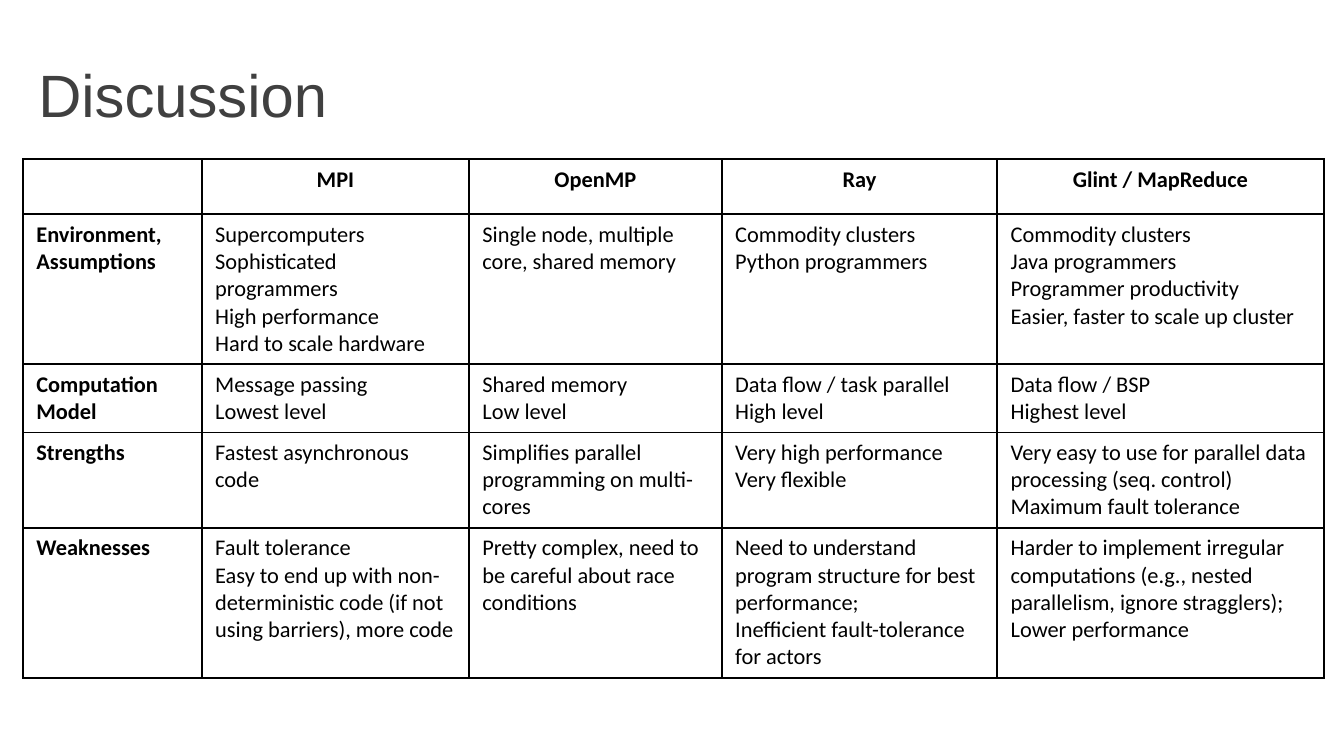
from dataclasses import dataclass

from lxml import etree
from pptx import Presentation
from pptx.dml.color import RGBColor
from pptx.enum.text import MSO_ANCHOR, PP_ALIGN
from pptx.oxml.ns import qn
from pptx.util import Pt

LEFT, CENTER = PP_ALIGN.LEFT, PP_ALIGN.CENTER
TOP, MIDDLE = MSO_ANCHOR.TOP, MSO_ANCHOR.MIDDLE
TITLE_ONLY = 5

COLORS = {"title": "404040", "text": "000000", "border": "000000"}
TITLE_FONT = {"name": "Arial", "size": Pt(32), "bold": False}
HEADING_FONT = {"name": "Calibri", "size": Pt(12), "bold": True}
BODY_FONT = {**HEADING_FONT, "bold": False}

COLUMN_WIDTHS = [95.8, 143.2, 135.4, 147.6, 175]
ROW_HEIGHT = 29.5
SYSTEMS = ["", "MPI", "OpenMP", "Ray", "Glint / MapReduce"]


@dataclass
class Aspect:
    """One table row: a heading and a list of points for each system."""
    heading: str
    points: list[str]


ASPECTS = [
    Aspect("Environment,\nAssumptions", [
        "Supercomputers\nSophisticated programmers\nHigh performance\nHard to scale hardware",
        "Single node, multiple core, shared memory",
        "Commodity clusters\nPython programmers",
        "Commodity clusters\nJava programmers\nProgrammer productivity\n"
        "Easier, faster to scale up cluster",
    ]),
    Aspect("Computation Model", [
        "Message passing\nLowest level",
        "Shared memory\nLow level",
        "Data flow / task parallel\nHigh level",
        "Data flow / BSP\nHighest level",
    ]),
    Aspect("Strengths", [
        "Fastest asynchronous code",
        "Simplifies parallel programming on multi-cores",
        "Very high performance\nVery flexible",
        "Very easy to use for parallel data processing (seq. control)\nMaximum fault tolerance",
    ]),
    Aspect("Weaknesses", [
        "Fault tolerance\nEasy to end up with non-deterministic code "
        "(if not using barriers), more code",
        "Pretty complex, need to be careful about race conditions",
        "Need to understand program structure for best performance;\n"
        "Inefficient fault-tolerance for actors",
        "Harder to implement irregular computations (e.g., nested parallelism, "
        "ignore stragglers);\nLower performance",
    ]),
]


def format_text(frame, font: dict, color: str, align=LEFT) -> None:
    for para in frame.paragraphs:
        para.alignment = align
        for span in para.runs:
            for attribute, value in font.items():
                setattr(span.font, attribute, value)
            span.font.color.rgb = RGBColor.from_string(COLORS[color])


def add_borders(cell) -> None:
    properties = cell._tc.get_or_add_tcPr()
    for side in ("lnL", "lnR", "lnT", "lnB"):
        line = etree.SubElement(properties, qn(f"a:{side}"), w=str(Pt(1)))
        fill = etree.SubElement(line, qn("a:solidFill"))
        etree.SubElement(fill, qn("a:srgbClr"), val=COLORS["border"])


def fill_cell(cell, text: str, font: dict, align=LEFT) -> None:
    add_borders(cell)
    cell.fill.background()
    cell.vertical_anchor = TOP
    if text:
        cell.text = text
        format_text(cell.text_frame, font, "text", align)


def add_title(slide, text: str) -> None:
    title = slide.shapes.title
    title.left, title.top, title.width, title.height = Pt(13.3), Pt(16.2), Pt(697), Pt(67.7)
    title.text_frame.text = text
    title.text_frame.vertical_anchor = MIDDLE
    format_text(title.text_frame, TITLE_FONT, "title")


def add_comparison(slide) -> None:
    row_count = len(ASPECTS) + 1
    table = slide.shapes.add_table(
        row_count, len(SYSTEMS), Pt(12.3), Pt(85.3),
        Pt(sum(COLUMN_WIDTHS)), Pt(ROW_HEIGHT * row_count)).table
    table.first_row = table.horz_banding = False
    for column, width in zip(table.columns, COLUMN_WIDTHS):
        column.width = Pt(width)
    for row in table.rows:
        row.height = Pt(ROW_HEIGHT)

    # Header row
    for index, system in enumerate(SYSTEMS):
        fill_cell(table.cell(0, index), system, HEADING_FONT, CENTER)

    # One row for each aspect
    for row_index, aspect in enumerate(ASPECTS, start=1):
        fill_cell(table.cell(row_index, 0), aspect.heading, HEADING_FONT)
        for index, points in enumerate(aspect.points, start=1):
            fill_cell(table.cell(row_index, index), points, BODY_FONT)


def main() -> None:
    deck = Presentation()
    deck.slide_width, deck.slide_height = Pt(720), Pt(405)
    page = deck.slides.add_slide(deck.slide_layouts[TITLE_ONLY])
    add_title(page, "Discussion")
    add_comparison(page)
    deck.save("out.pptx")


if __name__ == "__main__":
    main()
